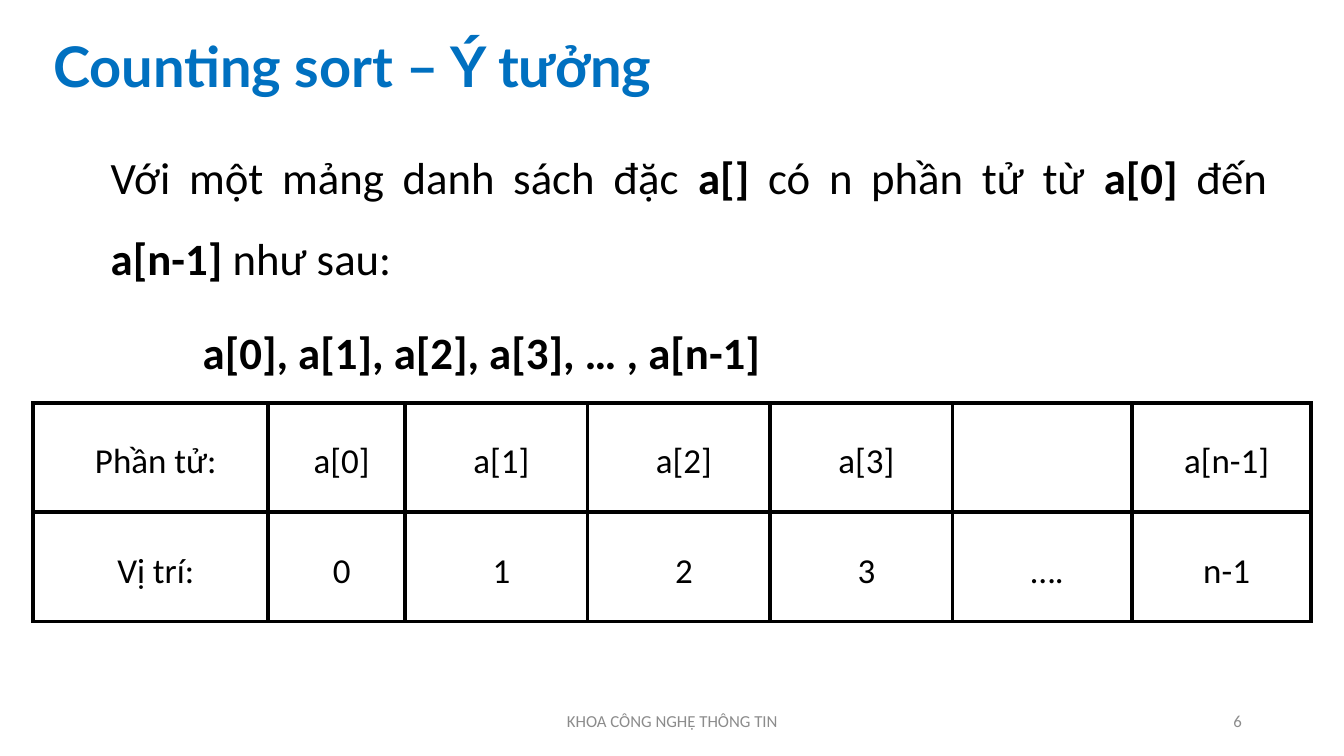
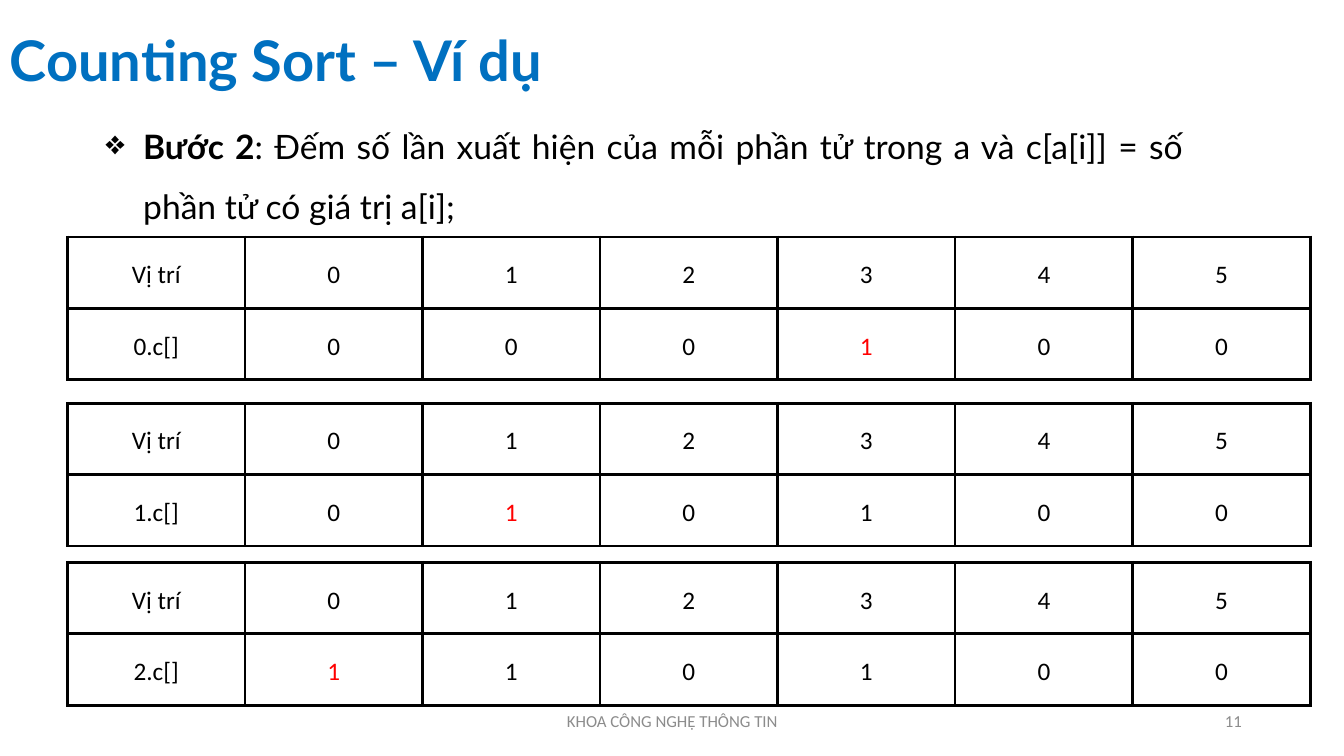
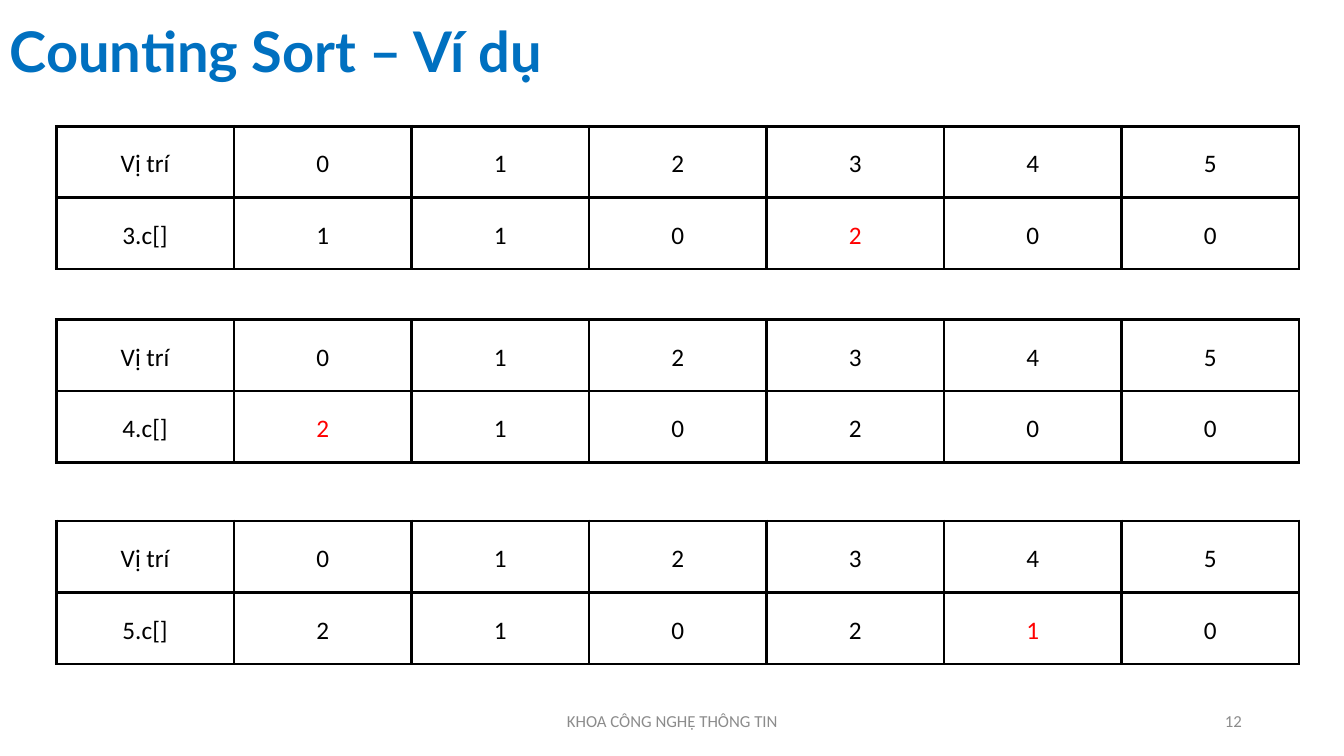
import itertools
from dataclasses import dataclass

import lxml.etree
import pptx
import pptx.dml.color
import pptx.enum.text
import pptx.oxml.ns
import pptx.presentation
import pptx.slide
import pptx.table
import pptx.text.text
import pptx.util

Cm = pptx.util.Cm
Pt = pptx.util.Pt
RGBColor = pptx.dml.color.RGBColor
ALIGN = pptx.enum.text.PP_ALIGN
MIDDLE = pptx.enum.text.MSO_ANCHOR.MIDDLE
TOP = pptx.enum.text.MSO_ANCHOR.TOP
qn = pptx.oxml.ns.qn

BLUE = RGBColor(0x00, 0x70, 0xC0)
BLACK = RGBColor(0x00, 0x00, 0x00)
RED = RGBColor(0xFF, 0x00, 0x00)
GREY = RGBColor(0x8C, 0x8C, 0x8C)
HEADING_FONT = "Lato"
BODY_FONT = "Calibri"
FOOTER = "KHOA CÔNG NGHỆ THÔNG TIN"

INPUT = (3, 1, 0, 3, 0, 4)
VALUE_COUNT = 6
COUNT_WIDTH = Cm(31.32)
COUNT_ROW_HEIGHT = Cm(1.8)


@dataclass(frozen=True)
class Box:
    left: float
    top: float
    width: float
    height: float


@dataclass(frozen=True)
class Style:
    size: float
    font: str = BODY_FONT
    color: RGBColor = BLACK
    bold: bool = False


@dataclass(frozen=True)
class Para:
    runs: tuple[tuple[str, bool], ...]
    align: ALIGN = ALIGN.LEFT
    line_spacing: float = 1.0
    space_before: float = 0
    space_after: float = 0
    margin: float = 0
    indent: float = 0
    bullet: str = ""


@dataclass(frozen=True)
class TableStyle:
    size: float
    border: float
    inset_x: float
    inset_y: float
    line_spacing: float
    space_after: float
    indent: float = 0


TITLE_STYLE = Style(40, HEADING_FONT, BLUE)
FOOTER_STYLE = Style(12, color=GREY)
ELEMENT_TABLE = TableStyle(25, 3, 0.25, 0, 1.2, 6, 0.25)
COUNT_TABLE = TableStyle(18, 2.25, 0.28, 0.2, 1.15, 15)


def write_para(p: pptx.text.text._Paragraph, para: Para, style: Style) -> None:
    p.alignment = para.align
    p.line_spacing = para.line_spacing
    p.space_before = Pt(para.space_before)
    p.space_after = Pt(para.space_after)
    pPr = p._p.get_or_add_pPr()
    pPr.set("marL", str(Cm(para.margin)))
    pPr.set("indent", str(Cm(para.indent)))
    if para.bullet:
        bullet = lxml.etree.SubElement(pPr, qn("a:buChar"))
        bullet.set("char", para.bullet)
    for text, bold in para.runs:
        r = p.add_run()
        r.text = text
        r.font.name = style.font
        r.font.size = Pt(style.size)
        r.font.bold = bold
        r.font.color.rgb = style.color


def add_text(s: pptx.slide.Slide, box: Box, paras: list[Para], style: Style,
             anchor: pptx.enum.text.MSO_ANCHOR = MIDDLE) -> None:
    sp = s.shapes.add_textbox(Cm(box.left), Cm(box.top), Cm(box.width), Cm(box.height))
    tf = sp.text_frame
    tf.word_wrap = True
    tf.vertical_anchor = anchor
    for i, para in enumerate(paras):
        p = tf.paragraphs[0] if i == 0 else tf.add_paragraph()
        write_para(p, para, style)


def set_borders(cell: pptx.table._Cell, width: float) -> None:
    tcPr = cell._tc.get_or_add_tcPr()
    for i, side in enumerate(("a:lnL", "a:lnR", "a:lnT", "a:lnB")):
        ln = lxml.etree.Element(qn(side), w=str(Pt(width)))
        fill = lxml.etree.SubElement(ln, qn("a:solidFill"))
        lxml.etree.SubElement(fill, qn("a:srgbClr"), val=str(BLACK))
        tcPr.insert(i, ln)


def add_grid(s: pptx.slide.Slide, left: int, top: int, widths: list[int], row_height: int,
             rows: list[list[str]], style: TableStyle,
             red_cell: tuple[int, int] | None = None) -> None:
    frame = s.shapes.add_table(len(rows), len(widths), left, top,
                               sum(widths), row_height * len(rows))
    table = frame.table
    table.first_row = False
    table.horz_banding = False
    for column, width in zip(table.columns, widths):
        column.width = width
    for row in table.rows:
        row.height = row_height
    for i, j in itertools.product(range(len(rows)), range(len(widths))):
        cell = table.cell(i, j)
        cell.fill.background()
        set_borders(cell, style.border)
        cell.vertical_anchor = MIDDLE
        cell.margin_left = cell.margin_right = Cm(style.inset_x)
        cell.margin_top = cell.margin_bottom = Cm(style.inset_y)
        if rows[i][j]:
            para = Para(((rows[i][j], False),), ALIGN.CENTER, style.line_spacing,
                        space_after=style.space_after, indent=style.indent)
            color = RED if (i, j) == red_cell else BLACK
            write_para(cell.text_frame.paragraphs[0], para, Style(style.size, color=color))


def add_count_table(s: pptx.slide.Slide, left: float, top: float, step: int) -> None:
    seen = INPUT[:step + 1]
    rows = [
        ["Vị trí", *(str(v) for v in range(VALUE_COUNT))],
        [f"{step}.c[]", *(str(seen.count(v)) for v in range(VALUE_COUNT))],
    ]
    columns = VALUE_COUNT + 1
    add_grid(s, Cm(left), Cm(top), [COUNT_WIDTH // columns] * columns, COUNT_ROW_HEIGHT,
             rows, COUNT_TABLE, (1, INPUT[step] + 1))


def add_slide(prs: pptx.presentation.Presentation, title: str, title_box: Box,
              number: int) -> pptx.slide.Slide:
    s = prs.slides.add_slide(prs.slide_layouts[6])
    add_text(s, title_box, [Para(((title, True),), line_spacing=0.9)], TITLE_STYLE)
    add_text(s, Box(11.23, 17.65, 11.43, 1.02),
             [Para(((FOOTER, False),), ALIGN.CENTER)], FOOTER_STYLE)
    add_text(s, Box(23.93, 17.65, 7.62, 1.02),
             [Para(((str(number), False),), ALIGN.RIGHT)], FOOTER_STYLE)
    return s


def build_idea(prs: pptx.presentation.Presentation) -> None:
    s = add_slide(prs, "Counting sort – Ý tưởng", Box(1.09, 0.48, 30.48, 2.54), 6)
    intro = Para((
        ("Với một mảng danh sách đặc ", False),
        ("a[] ", True),
        ("có n phần tử từ ", False),
        ("a[0] ", True),
        ("đến ", False),
        ("a[n-1] ", True),
        ("như sau:", False),
    ), ALIGN.JUSTIFY, 1.5)
    elements = Para((("a[0], a[1], a[2], a[3], … , a[n-1]", True),), ALIGN.JUSTIFY, 1.5,
                    space_before=10, margin=2.32)
    add_text(s, Box(2.54, 2.97, 29.64, 13.92), [intro, elements], Style(32), TOP)
    widths = [Cm(w) for w in (5.92, 3.45, 4.6, 4.6, 4.6, 4.52, 4.52)]
    rows = [
        ["Phần tử:", "a[0]", "a[1]", "a[2]", "a[3]", "", "a[n-1]"],
        ["Vị trí:", "0", "1", "2", "3", "….", "n-1"],
    ]
    add_grid(s, Cm(0.84), Cm(10.16), widths, Cm(2.75), rows, ELEMENT_TABLE)


def build_first_steps(prs: pptx.presentation.Presentation) -> None:
    s = add_slide(prs, "Counting Sort – Ví dụ", Box(0, 0, 29.21, 3.2), 11)
    step_text = Para((
        ("Bước 2", True),
        (": Đếm số lần xuất hiện của mỗi phần tử trong a và c[a[i]] = số "
         "phần tử có giá trị a[i];", False),
    ), ALIGN.JUSTIFY, 1.5, margin=0.95, indent=-0.95, bullet="❖")
    add_text(s, Box(2.41, 2.54, 27.66, 3.33), [step_text], Style(24, HEADING_FONT), TOP)
    for step, top in enumerate((5.97, 10.16, 14.17)):
        add_count_table(s, 1.7, top, step)


def build_last_steps(prs: pptx.presentation.Presentation) -> None:
    s = add_slide(prs, "Counting Sort – Ví dụ", Box(0, 0, 29.21, 2.72), 12)
    for step, top in enumerate((3.18, 8.05, 13.13), start=3):
        add_count_table(s, 1.42, top, step)


def main() -> None:
    prs = pptx.Presentation()
    prs.slide_width = Cm(33.87)
    prs.slide_height = Cm(19.05)
    build_idea(prs)
    build_first_steps(prs)
    build_last_steps(prs)
    prs.save("out.pptx")


if __name__ == "__main__":
    main()
